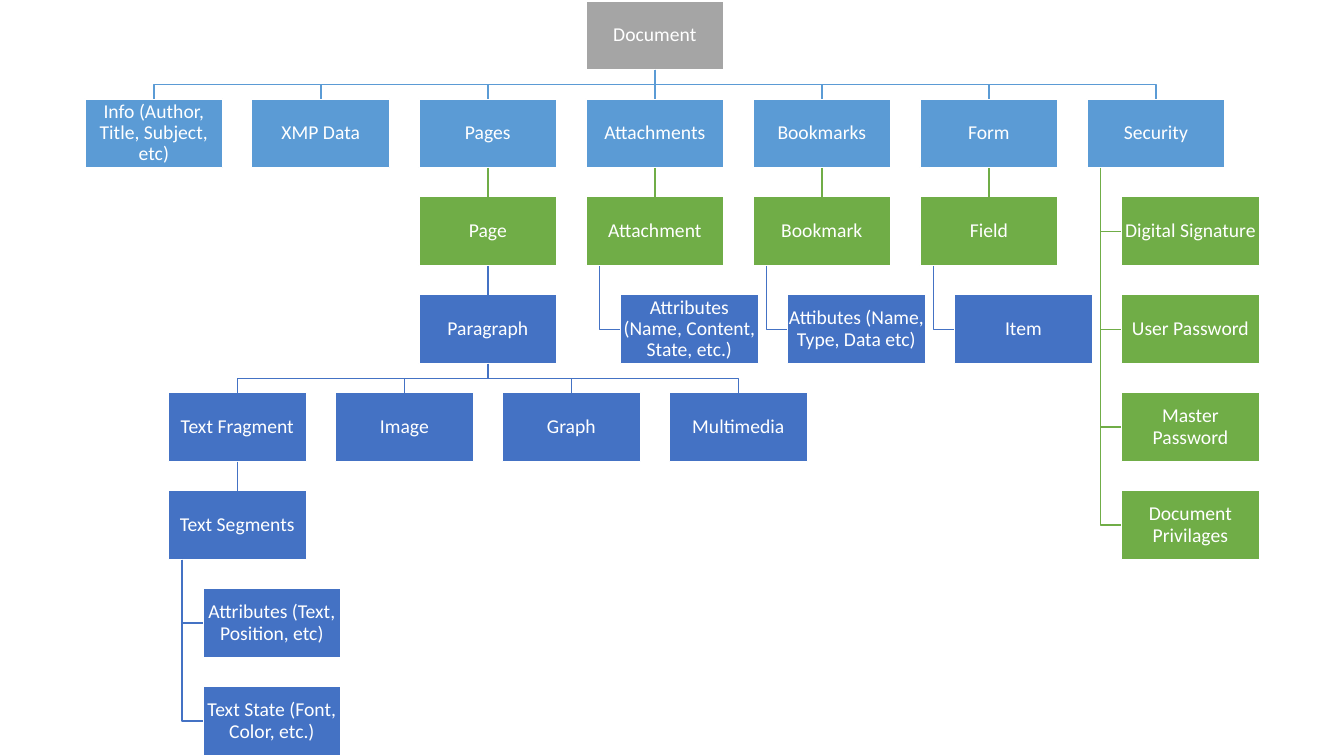
from dataclasses import dataclass

from lxml import etree
from pptx import Presentation
from pptx.dml.color import RGBColor
from pptx.enum.shapes import MSO_CONNECTOR, MSO_SHAPE
from pptx.enum.text import MSO_ANCHOR, PP_ALIGN
from pptx.oxml.ns import qn
from pptx.util import Pt

RECTANGLE = MSO_SHAPE.RECTANGLE
STRAIGHT = MSO_CONNECTOR.STRAIGHT
MIDDLE = MSO_ANCHOR.MIDDLE
CENTER = PP_ALIGN.CENTER
TOP_SIDE, BOTTOM_SIDE = 0, 2

COLORS = {
    "gray": "A5A5A5",
    "sky": "5B9BD5",
    "green": "70AD47",
    "blue": "4472C4",
    "white": "FFFFFF",
}

BOX_WIDTH, BOX_HEIGHT = 98.6, 49.3
COLUMN_STEP, ROW_STEP = 119.3, 69.97
ROOT_LEFT, ROOT_TOP = 418.5, 0.6
HANGING_INDENT = BOX_WIDTH / 4
TRUNK_OFFSET = BOX_WIDTH / 10
LINE_WIDTH = 1
TEXT_INSET = 0.7


@dataclass
class Node:
    """A box of the tree; its children spread in a row or hang in a column."""
    text: str
    color: str
    children: tuple = ()
    hanging: bool = False


DOCUMENT_TREE = Node("Document", "gray", (
    Node("Info (Author, Title, Subject, etc)", "sky"),
    Node("XMP Data", "sky"),
    Node("Pages", "sky", (
        Node("Page", "green", (
            Node("Paragraph", "blue", (
                Node("Text Fragment", "blue", (
                    Node("Text Segments", "blue", (
                        Node("Attributes (Text, Position, etc)", "blue"),
                        Node("Text State (Font, Color, etc.)", "blue"),
                    ), hanging=True),
                )),
                Node("Image", "blue"),
                Node("Graph", "blue"),
                Node("Multimedia", "blue"),
            )),
        )),
    )),
    Node("Attachments", "sky", (
        Node("Attachment", "green", (
            Node("Attributes (Name, Content, State, etc.)", "blue"),
        ), hanging=True),
    )),
    Node("Bookmarks", "sky", (
        Node("Bookmark", "green", (
            Node("Attibutes (Name, Type, Data etc)", "blue"),
        ), hanging=True),
    )),
    Node("Form", "sky", (
        Node("Field", "green", (Node("Item", "blue"),), hanging=True),
    )),
    Node("Security", "sky", (
        Node("Digital Signature", "green"),
        Node("User Password", "green"),
        Node("Master Password", "green"),
        Node("Document Privilages", "green"),
    ), hanging=True),
))


def rgb(color):
    return RGBColor.from_string(COLORS[color])


def style_line(line, color):
    line.color.rgb = rgb(color)
    line.width = Pt(LINE_WIDTH)


def add_box(slide, node, left, top):
    box = slide.shapes.add_shape(
        RECTANGLE, Pt(left), Pt(top), Pt(BOX_WIDTH), Pt(BOX_HEIGHT))
    box.shadow.inherit = False
    box.fill.solid()
    box.fill.fore_color.rgb = rgb(node.color)
    style_line(box.line, "white")

    text_frame = box.text_frame
    text_frame.text = node.text
    text_frame.word_wrap = True
    text_frame.vertical_anchor = MIDDLE
    text_frame.margin_left = text_frame.margin_right = Pt(TEXT_INSET)
    text_frame.margin_top = text_frame.margin_bottom = Pt(TEXT_INSET)
    paragraph = text_frame.paragraphs[0]
    paragraph.alignment = CENTER
    paragraph.line_spacing = 0.9
    font = paragraph.runs[0].font
    font.name = "Calibri"
    font.size = Pt(14)
    font.color.rgb = rgb("white")
    return box


def add_straight_link(slide, parent_box, child_box, color):
    link = slide.shapes.add_connector(STRAIGHT, 0, 0, 0, 0)
    link.begin_connect(parent_box, BOTTOM_SIDE)
    link.end_connect(child_box, TOP_SIDE)
    style_line(link.line, color)
    etree.SubElement(link._element.spPr, qn("a:effectLst"))


def add_bent_link(slide, points, color):
    start, *corners = [(Pt(x), Pt(y)) for x, y in points]
    builder = slide.shapes.build_freeform(*start)
    builder.add_line_segments(corners, close=False)
    link = builder.convert_to_shape()
    link.shadow.inherit = False
    link.fill.background()
    style_line(link.line, color)


def child_positions(node, left, top):
    """Return the left and top of each child of a node placed at left, top."""
    count = len(node.children)
    if node.hanging:
        return [(left + HANGING_INDENT, top + ROW_STEP * (row + 1))
                for row in range(count)]
    return [(left + COLUMN_STEP * (column - (count - 1) / 2), top + ROW_STEP)
            for column in range(count)]


def bent_link_points(hanging, left, top, child_left, child_top):
    bottom = top + BOX_HEIGHT
    if hanging:
        trunk_x = left + TRUNK_OFFSET
        child_middle = child_top + BOX_HEIGHT / 2
        return [(trunk_x, bottom), (trunk_x, child_middle),
                (child_left, child_middle)]
    parent_center = left + BOX_WIDTH / 2
    child_center = child_left + BOX_WIDTH / 2
    bar_y = (bottom + child_top) / 2
    return [(parent_center, bottom), (parent_center, bar_y),
            (child_center, bar_y), (child_center, child_top)]


def add_tree(slide, node, left, top):
    """Draw a node with everything below it and return the node's box."""
    box = add_box(slide, node, left, top)
    positions = child_positions(node, left, top)
    for child, (child_left, child_top) in zip(node.children, positions):
        child_box = add_tree(slide, child, child_left, child_top)
        if child_left == left:
            add_straight_link(slide, box, child_box, child.color)
        else:
            points = bent_link_points(
                node.hanging, left, top, child_left, child_top)
            add_bent_link(slide, points, child.color)
    return box


def main():
    presentation = Presentation()
    presentation.slide_width = Pt(960)
    presentation.slide_height = Pt(540)
    slide = presentation.slides.add_slide(presentation.slide_layouts[6])
    add_tree(slide, DOCUMENT_TREE, ROOT_LEFT, ROOT_TOP)
    presentation.save("out.pptx")


if __name__ == "__main__":
    main()
